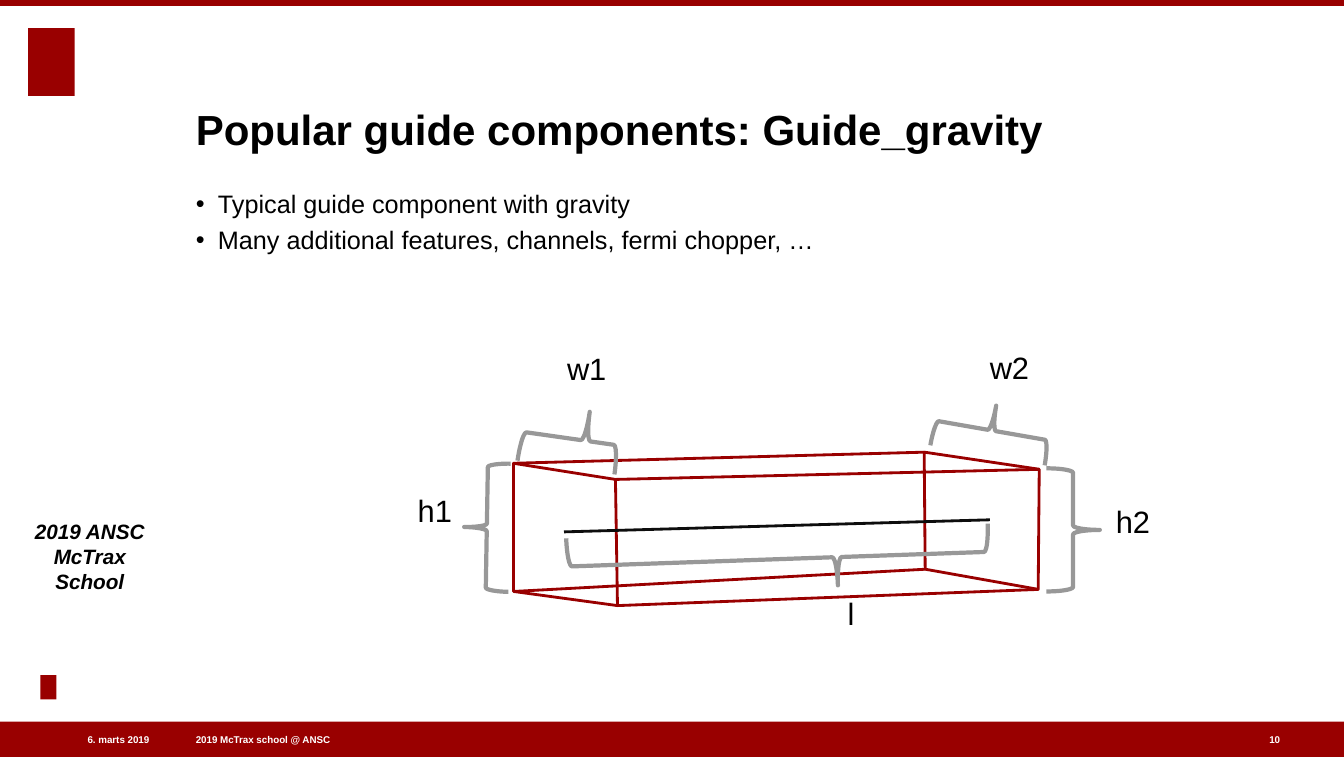
from dataclasses import dataclass

from lxml import etree
from pptx import Presentation
from pptx import util as u
from pptx.dml import color
from pptx.enum import shapes, text
from pptx.oxml import ns

COLUMNS, ROWS = 133.2, 75
CELL = u.Inches(0.1)


@dataclass(frozen=True)
class Theme:
    font: str = "Arial"
    accent: str = "990000"
    paper: str = "FFFFFF"
    ink: str = "000000"
    brace: str = "989898"
    axis: str = "0D0D0D"
    title: float = 30
    body: float = 18
    label: float = 22
    badge: float = 14.8
    footer: float = 7
    edge_width: float = 2
    brace_width: float = 3


@dataclass(frozen=True)
class Box:
    left: float
    top: float
    width: float
    height: float

    def inner(self, left, top, width, height):
        return Box(self.left + left, self.top + top, width, height)

    def point(self, column, row):
        return cells(self.left + column), cells(self.top + row)

    def frame(self):
        return [cells(n) for n in (self.left, self.top, self.width, self.height)]


THEME = Theme()


def cells(count):
    return u.Emu(round(count * CELL))


def rgb(code):
    return color.RGBColor.from_string(code)


def place(shape, box):
    shape.left, shape.top, shape.width, shape.height = box.frame()


def set_bullet(para, indent):
    properties = para._p.get_or_add_pPr()
    properties.set("marL", str(indent))
    properties.set("indent", str(-indent))
    etree.SubElement(properties, ns.qn("a:buChar")).set("char", "•")


def write_text(holder, content, size, ink=THEME.ink, bold=False, italic=False,
               align=text.PP_ALIGN.LEFT, anchor=text.MSO_ANCHOR.TOP,
               wrap=True, before=0, bullet=None):
    frame = holder.text_frame
    frame.auto_size = text.MSO_AUTO_SIZE.NONE
    frame.word_wrap = wrap
    frame.vertical_anchor = anchor
    frame.margin_left = frame.margin_right = 0
    frame.margin_top = frame.margin_bottom = 0
    for number, line in enumerate(content.split("\n")):
        para = frame.add_paragraph() if number else frame.paragraphs[0]
        para.alignment = align
        para.space_before = u.Pt(before)
        if bullet:
            set_bullet(para, bullet)
        span = para.add_run()
        span.text = line
        font = span.font
        font.name, font.size = THEME.font, u.Pt(size)
        font.bold, font.italic = bold, italic
        font.color.rgb = rgb(ink)


def add_text(page, box, content, size, **format):
    write_text(page.shapes.add_textbox(*box.frame()), content, size, **format)


def add_block(page, box):
    block = page.shapes.add_shape(shapes.MSO_SHAPE.RECTANGLE, *box.frame())
    block.shadow.inherit = False
    block.fill.solid()
    block.fill.fore_color.rgb = rgb(THEME.accent)
    block.line.fill.background()


def set_line(shape, ink, width):
    shape.line.color.rgb = rgb(ink)
    shape.line.width = u.Pt(width)


def add_edge(page, box, start, end, ink):
    edge = page.shapes.add_connector(
        shapes.MSO_CONNECTOR.STRAIGHT, *box.point(*start), *box.point(*end))
    set_line(edge, ink, THEME.edge_width)
    etree.SubElement(edge._element.spPr, ns.qn("a:effectLst"))


def add_face(page, box, corners):
    points = [box.point(*corner) for corner in corners]
    builder = page.shapes.build_freeform(*points[0])
    builder.add_line_segments(points[1:], close=True)
    face = builder.convert_to_shape()
    face.shadow.inherit = False
    face.fill.solid()
    face.fill.fore_color.rgb = rgb(THEME.paper)
    set_line(face, THEME.accent, THEME.edge_width)


def add_brace(page, box, turn, tip):
    brace = page.shapes.add_shape(shapes.MSO_SHAPE.LEFT_BRACE, *box.frame())
    brace.shadow.inherit = False
    brace.rotation = turn
    brace.adjustments[1] = tip
    brace.fill.background()
    set_line(brace, THEME.brace, THEME.brace_width)


def draw_top(page, box):
    add_block(page, box.inner(0, 0, box.width, 0.6))
    add_block(page, box.inner(2.8, 2.8, 4.6, 6.7))


def draw_badge(page, box):
    add_text(page, box.inner(0, 0, 11, 7.9), "2019 ANSC\nMcTrax School",
             THEME.badge, bold=True, italic=True,
             align=text.PP_ALIGN.CENTER, anchor=text.MSO_ANCHOR.BOTTOM)
    add_block(page, box.inner(0.6, 16, 1.6, 2.4))


def draw_footer(page, box):
    add_block(page, box)
    entries = [
        (2.7, 12.1, "6. marts 2019", text.PP_ALIGN.RIGHT),
        (19.4, 37.2, "2019 McTrax school @ ANSC", text.PP_ALIGN.LEFT),
        (125.8, 1.4, "10", text.PP_ALIGN.LEFT),
    ]
    for left, width, content, align in entries:
        add_text(page, box.inner(left, 1.1, width, 1.4), content, THEME.footer,
                 ink=THEME.paper, bold=True, align=align, wrap=False,
                 anchor=text.MSO_ANCHOR.MIDDLE)


def draw_content(page, box):
    title, body = page.placeholders
    place(title, box.inner(0, 0, box.width, 10.6))
    write_text(title, "Popular guide components: Guide_gravity", THEME.title,
               bold=True, anchor=text.MSO_ANCHOR.BOTTOM)
    place(body, box.inner(0, 14, box.width, 12.4))
    write_text(body, "Typical guide component with gravity\n"
               "Many additional features, channels, fermi chopper, …",
               THEME.body, before=4, bullet=cells(2.2))


def draw_guide(page, box):
    entry = [(9.9, 11.9), (20, 13.5), (20.2, 26), (9.9, 24.6)]
    exit_ = [(50.6, 10.8), (62, 12.5), (61.9, 24.4), (50.7, 22.4)]
    for corners in (entry, exit_):
        add_face(page, box, corners)
    for start, end in zip(entry, exit_):
        add_edge(page, box, start, end, THEME.accent)
    add_edge(page, box, (14.9, 18.7), (57.1, 17.5), THEME.axis)

    dimensions = [
        ("w1", (15.2, 0.6), (12.6, 4.6, 5.8, 9.7), 98.1, 0.34),
        ("w2", (57.1, 0.5), (54.8, 2.9, 5, 11.5), 99.9, 0.5),
        ("h1", (0.4, 14.7), (5, 11.9, 4.5, 12.7), 1, 0.5),
        ("h2", (69.6, 15.8), (62.7, 12.4, 5.3, 12.2), 180, 0.5),
        ("l", (43, 24.9), (33.3, 0.5, 5.6, 41.8), 268, 0.64),
    ]
    for name, corner, span, turn, tip in dimensions:
        add_brace(page, box.inner(*span), turn, tip)
        add_text(page, box.inner(*corner, 13.3, 5), name, THEME.label)


def main():
    deck = Presentation()
    deck.slide_width, deck.slide_height = cells(COLUMNS), cells(ROWS)
    page = deck.slides.add_slide(deck.slide_layouts[1])
    draw_top(page, Box(0, 0, COLUMNS, 10))
    draw_badge(page, Box(3.4, 50.9, 11, 19))
    draw_footer(page, Box(0, 71.5, COLUMNS, 3.5))
    draw_content(page, Box(19.4, 4.7, 101.8, 26.4))
    draw_guide(page, Box(41, 34, 83, 30))
    deck.save("out.pptx")


if __name__ == "__main__":
    main()
